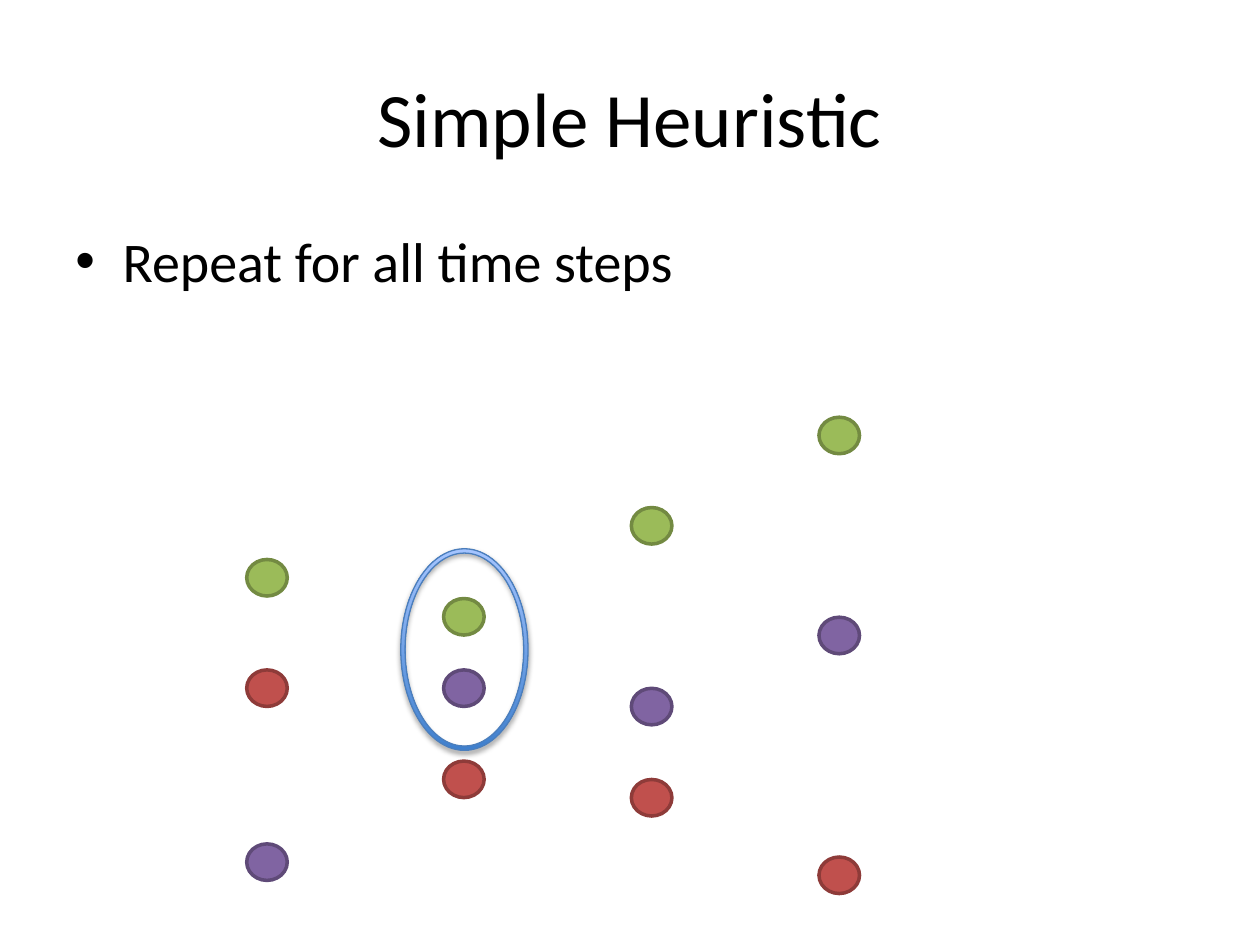
from lxml import etree
from pptx import Presentation
from pptx.dml.color import RGBColor
from pptx.enum.shapes import MSO_SHAPE
from pptx.enum.text import MSO_ANCHOR, PP_ALIGN
from pptx.oxml.ns import qn
from pptx.util import Pt

OVAL = MSO_SHAPE.OVAL
DONUT = MSO_SHAPE.DONUT
MIDDLE = MSO_ANCHOR.MIDDLE
TOP = MSO_ANCHOR.TOP
CENTER = PP_ALIGN.CENTER
LEFT = PP_ALIGN.LEFT

BLACK = RGBColor(0x00, 0x00, 0x00)
GREEN = RGBColor(0x9B, 0xBB, 0x59)
GREEN_EDGE = RGBColor(0x73, 0x8A, 0x42)
PURPLE = RGBColor(0x80, 0x64, 0xA2)
PURPLE_EDGE = RGBColor(0x5F, 0x4A, 0x78)
RED = RGBColor(0xC0, 0x50, 0x4D)
RED_EDGE = RGBColor(0x8E, 0x3B, 0x39)
RING_DARK = RGBColor(0x3F, 0x80, 0xCE)
RING_LIGHT = RGBColor(0xA4, 0xC4, 0xFF)
RING_EDGE = RGBColor(0x4B, 0x7E, 0xBC)

presentation = Presentation()
presentation.slide_width = Pt(720)
presentation.slide_height = Pt(540)
slide = presentation.slides.add_slide(presentation.slide_layouts[6])


def add_text(text, top, height, size, anchor, alignment):
    text_box = slide.shapes.add_textbox(Pt(36), Pt(top), Pt(648), Pt(height))
    text_frame = text_box.text_frame
    text_frame.word_wrap = True
    text_frame.vertical_anchor = anchor
    text_frame.text = text
    paragraph = text_frame.paragraphs[0]
    paragraph.alignment = alignment
    font = paragraph.runs[0].font
    font.name = "Calibri"
    font.size = Pt(size)
    font.color.rgb = BLACK
    return paragraph


# Title and bullet
add_text("Simple Heuristic", 21.6, 90, 44, MIDDLE, CENTER)
bullet = add_text("Repeat for all time steps", 126, 123, 32, TOP, LEFT)
bullet.space_before = Pt(6.4)
properties = bullet._p.get_or_add_pPr()
properties.set("marL", str(Pt(27)))
properties.set("indent", str(-Pt(27)))
etree.SubElement(properties, qn("a:buFont"), typeface="Arial")
etree.SubElement(properties, qn("a:buChar"), char="•")

# Three tracked objects over four time steps: one column of dots per step
DOT_WIDTH, DOT_HEIGHT = 23.2, 20.9
step_lefts = [141, 253.5, 360.8, 468]
tracks = [
    (GREEN, GREEN_EDGE, [319.7, 342, 290, 238.4]),
    (PURPLE, PURPLE_EDGE, [482.2, 382.8, 393.3, 352.7]),
    (RED, RED_EDGE, [382.8, 434.9, 445.4, 489.7]),
]
for fill_color, edge_color, tops in tracks:
    for left, top in zip(step_lefts, tops):
        dot = slide.shapes.add_shape(OVAL, Pt(left), Pt(top), Pt(DOT_WIDTH), Pt(DOT_HEIGHT))
        dot.shadow.inherit = False
        dot.fill.solid()
        dot.fill.fore_color.rgb = fill_color
        dot.line.color.rgb = edge_color
        dot.line.width = Pt(2)

# Ring around the closest pair in the second step
ring = slide.shapes.add_shape(DONUT, Pt(229), Pt(313.6), Pt(72.7), Pt(115.2))
ring.adjustments[0] = 0.034
ring.fill.gradient()
ring.fill.gradient_angle = 90
for stop, position, color in zip(ring.fill.gradient_stops, (0, 1), (RING_DARK, RING_LIGHT)):
    stop.position = position
    stop.color.rgb = color
ring.line.color.rgb = RING_EDGE
ring.line.width = Pt(0.75)

# Soft shadow below the ring
ring.shadow.inherit = False
effects = ring._element.spPr.find(qn("a:effectLst"))
shadow = etree.SubElement(effects, qn("a:outerShdw"), blurRad=str(Pt(3.1)),
                          dist=str(Pt(1.8)), dir="5400000", rotWithShape="0")
shadow_color = etree.SubElement(shadow, qn("a:srgbClr"), val=str(BLACK))
etree.SubElement(shadow_color, qn("a:alpha"), val="35000")

presentation.save("out.pptx")
